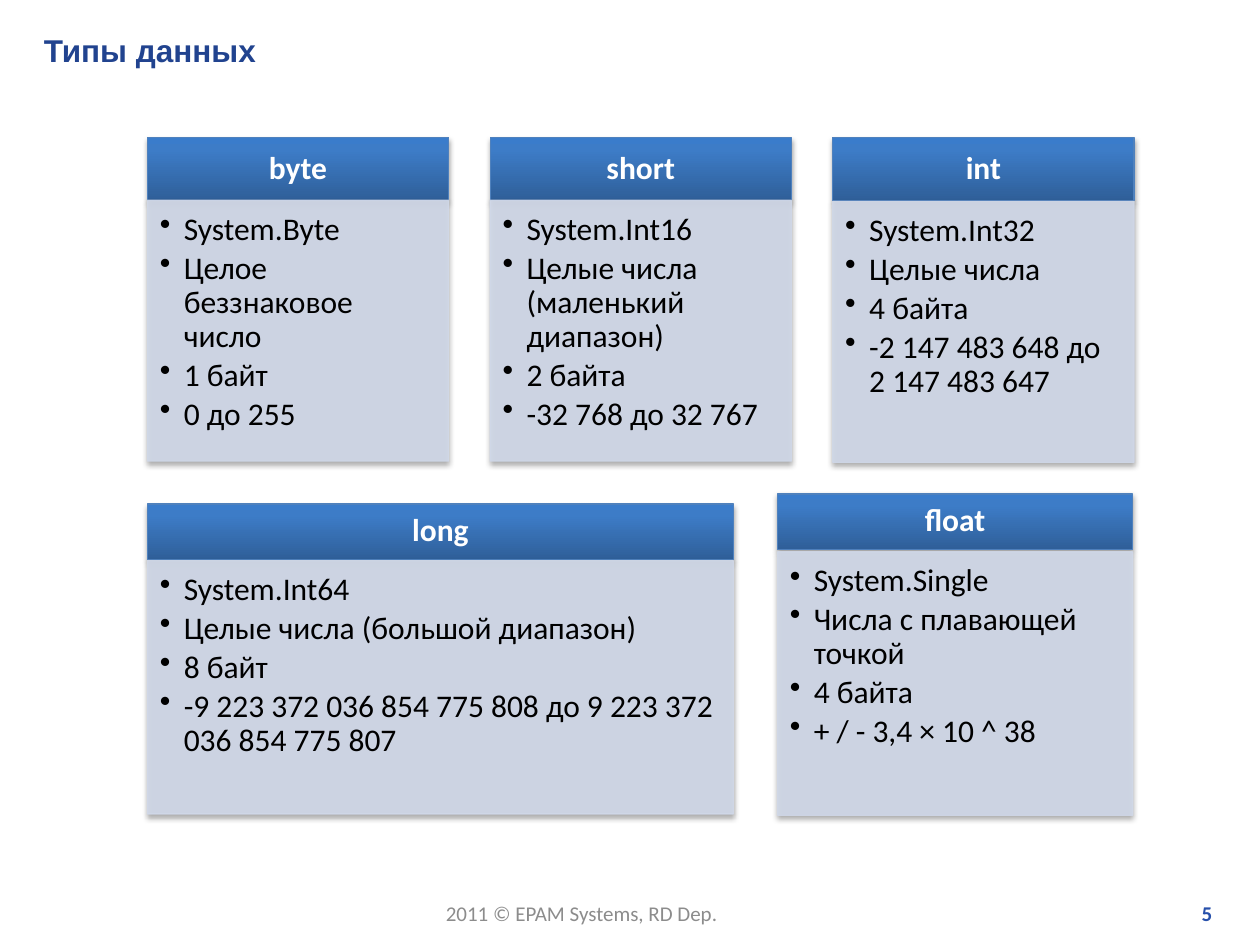
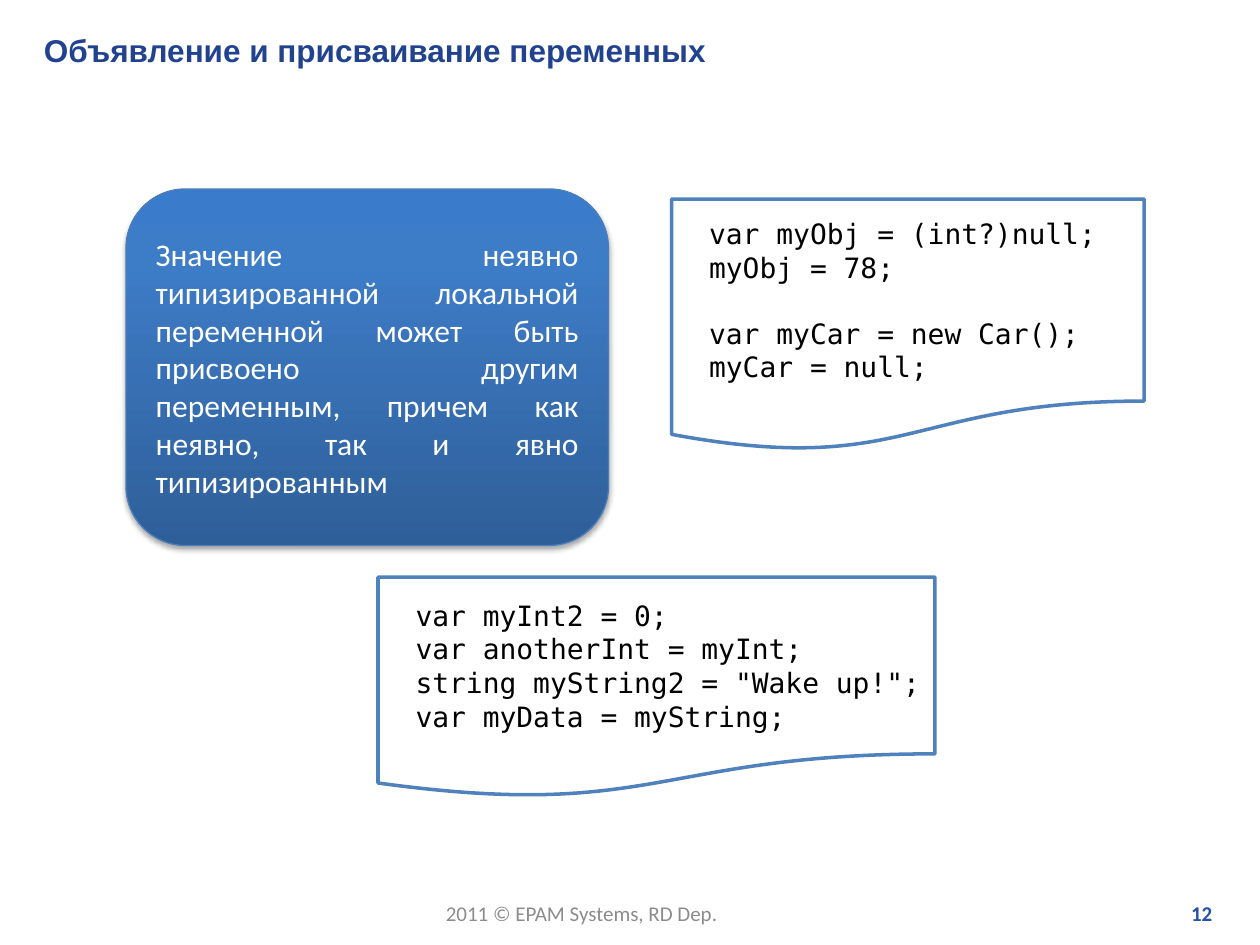
from lxml import etree
from pptx import Presentation
from pptx.dml.color import RGBColor
from pptx.enum.shapes import MSO_SHAPE
from pptx.enum.text import MSO_ANCHOR, PP_ALIGN
from pptx.oxml.ns import qn
from pptx.util import Inches, Pt

LEFT, CENTER, RIGHT, JUSTIFY = PP_ALIGN.LEFT, PP_ALIGN.CENTER, PP_ALIGN.RIGHT, PP_ALIGN.JUSTIFY
TOP, MIDDLE = MSO_ANCHOR.TOP, MSO_ANCHOR.MIDDLE
RECTANGLE, ROUNDED, DOCUMENT = MSO_SHAPE.RECTANGLE, MSO_SHAPE.ROUNDED_RECTANGLE, MSO_SHAPE.FLOWCHART_DOCUMENT

BODY_FONT, TITLE_FONT, CODE_FONT = "Calibri", "Arial", "DejaVu Sans Mono"
TITLE_COLOR, FOOTER_COLOR, NUMBER_COLOR = "21438F", "8C8C8C", "2750AB"
WHITE, BLACK, ACCENT, CARD_COLOR = "FFFFFF", "000000", "4F81BD", "D0D8E8"
BLUE_STOPS = [(0, "2F5F99"), (80, "3D7CC7"), (100, "3A7CCB")]
FOOTER = "2011 © EPAM Systems, RD Dep."

CARD_LEFT, CARD_WIDTH, CARD_PITCH = 1.17, 2.39, 2.72
# name, (left, width), (header top, header height), (body top, body height), facts
TYPE_CARDS = [
    ("byte", (CARD_LEFT, CARD_WIDTH), (1.09, 0.5), (1.59, 2.07),
     ["System.Byte", "Целое беззнаковое число", "1 байт", "0 до 255"]),
    ("short", (CARD_LEFT + CARD_PITCH, CARD_WIDTH), (1.09, 0.5), (1.59, 2.07),
     ["System.Int16", "Целые числа (маленький диапазон)", "2 байта", "-32 768 до 32 767"]),
    ("int", (CARD_LEFT + 2 * CARD_PITCH, CARD_WIDTH), (1.09, 0.5), (1.6, 2.07),
     ["System.Int32", "Целые числа", "4 байта", "-2 147 483 648 до 2 147 483 647"]),
    ("long", (CARD_LEFT, 4.65), (4, 0.44), (4.45, 2.01),
     ["System.Int64", "Целые числа (большой диапазон)", "8 байт",
      "-9 223 372 036 854 775 808 до 9 223 372 036 854 775 807"]),
    ("float", (6.17, 2.82), (3.92, 0.44), (4.38, 2.09),
     ["System.Single", "Числа с плавающей точкой", "4 байта", "+ / - 3,4 × 10 ^ 38"]),
]

RULE = ("Значение неявно типизированной локальной переменной может быть присвоено "
        "другим переменным, причем как неявно, так и явно типизированным")
# place, groups of code lines
CODE_SAMPLES = [
    ((3, 4.58, 4.42, 1.75),
     [["var myInt2 = 0;", "var anotherInt = myInt;",
       'string myString2 = "Wake up!";', "var myData = myString;"]]),
    ((5.33, 1.58, 3.75, 2),
     [["var myObj = (int?)null;", "myObj = 78;"],
      ["var myCar = new Car();", "myCar = null;"]]),
]


def rgb(value):
    return RGBColor.from_string(value)


def add_element(parent, tag, **attributes):
    element = etree.SubElement(parent, qn(tag))
    for name, value in attributes.items():
        element.set(name, str(value))
    return element


def write(shape, lines, size=18, font=BODY_FONT, color=BLACK, bold=False, align=LEFT,
          anchor=TOP, wrap=True, insets=(0.1, 0.05, 0.1, 0.05)):
    """Put one paragraph per line into the shape and return the paragraphs."""
    frame = shape.text_frame
    frame.text = "\n".join(lines)
    frame.word_wrap = wrap
    frame.vertical_anchor = anchor
    frame.margin_left, frame.margin_top, frame.margin_right, frame.margin_bottom = map(Inches, insets)
    for para in frame.paragraphs:
        para.alignment = align
        for span in para.runs:
            span.font.size = Pt(size)
            span.font.name = font
            span.font.bold = bold
            span.font.color.rgb = rgb(color)
    return frame.paragraphs


def add_text(page, place, text, **style):
    box = page.shapes.add_textbox(*map(Inches, place))
    write(box, [text], **style)


def add_panel(page, kind, place, fill, line, line_width=0.75):
    panel = page.shapes.add_shape(kind, *map(Inches, place))
    panel.shadow.inherit = False
    panel.fill.solid()
    panel.fill.fore_color.rgb = rgb(fill)
    panel.line.color.rgb = rgb(line)
    panel.line.width = Pt(line_width)
    return panel


def add_shadow(panel):
    effects = panel._element.spPr.find(qn("a:effectLst"))
    shadow = add_element(effects, "a:outerShdw", blurRad=Pt(3.1), dist=Pt(1.8),
                         dir=5400000, rotWithShape=0)
    add_element(add_element(shadow, "a:srgbClr", val=BLACK), "a:alpha", val=35000)


def add_blue_panel(page, kind, place, line=ACCENT):
    panel = add_panel(page, kind, place, ACCENT, line)
    properties = panel._element.spPr
    gradient = add_element(properties, "a:gradFill", rotWithShape=1)
    stops = add_element(gradient, "a:gsLst")
    for percent, color in BLUE_STOPS:
        add_element(add_element(stops, "a:gs", pos=percent * 1000), "a:srgbClr", val=color)
    add_element(gradient, "a:lin", ang=270 * 60000, scaled=0)
    properties.replace(properties.find(qn("a:solidFill")), gradient)
    add_shadow(panel)
    return panel


def add_card(page, name, horizontal, header_span, body_span, facts):
    left, width = horizontal
    header_top, header_height = header_span
    body_top, body_height = body_span
    header = add_blue_panel(page, RECTANGLE, (left, header_top, width, header_height))
    title = write(header, [name], color=WHITE, bold=True, align=CENTER, anchor=MIDDLE,
                  insets=(0.14, 0.08, 0.14, 0.08))[0]
    title.line_spacing = 0.9

    body = add_panel(page, RECTANGLE, (left, body_top, width, body_height), CARD_COLOR, CARD_COLOR)
    for color in body._element.spPr.iter(qn("a:srgbClr")):
        add_element(color, "a:alpha", val=90000)
    add_shadow(body)
    for para in write(body, facts, insets=(0.1, 0.1, 0.14, 0.16)):
        para.line_spacing = 0.9
        para.space_after = Pt(2.8)
        properties = para._p.get_or_add_pPr()
        properties.set("marL", str(Inches(0.19)))
        properties.set("indent", str(-Inches(0.19)))
        add_element(properties, "a:buChar", char="•")


def add_code(page, place, groups):
    sheet = add_panel(page, DOCUMENT, place, WHITE, ACCENT, 2)
    lines = [line for group in groups for line in group]
    group_starts = [group[0] for group in groups[1:]]
    for para in write(sheet, lines, size=16, font=CODE_FONT, anchor=MIDDLE):
        para._p.get_or_add_pPr().set("marL", str(Inches(0.2)))
        if para.text in group_starts:
            para.space_before = Pt(18.6)


def add_page(deck, title, number):
    page = deck.slides.add_slide(deck.slide_layouts[6])
    add_text(page, (3.44, 7.1, 2.39, 0.3), FOOTER, size=12, color=FOOTER_COLOR, wrap=False)
    add_text(page, (7.6, 7.1, 2.12, 0.3), str(number), size=12, color=NUMBER_COLOR,
             bold=True, align=RIGHT)
    add_text(page, (0.25, 0.2, 9.54, 0.4), title, font=TITLE_FONT, color=TITLE_COLOR, bold=True)
    return page


def main():
    deck = Presentation()
    deck.slide_width, deck.slide_height = Inches(10), Inches(7.5)

    types_page = add_page(deck, "Типы данных", 5)
    for card in TYPE_CARDS:
        add_card(types_page, *card)

    variables_page = add_page(deck, "Объявление и присваивание переменных", 12)
    rule = add_blue_panel(variables_page, ROUNDED, (1, 1.5, 3.83, 2.83), line="4B7EBC")
    write(rule, [RULE], color=WHITE, align=JUSTIFY, anchor=MIDDLE)
    for place, groups in CODE_SAMPLES:
        add_code(variables_page, place, groups)

    deck.save("out.pptx")


if __name__ == "__main__":
    main()
